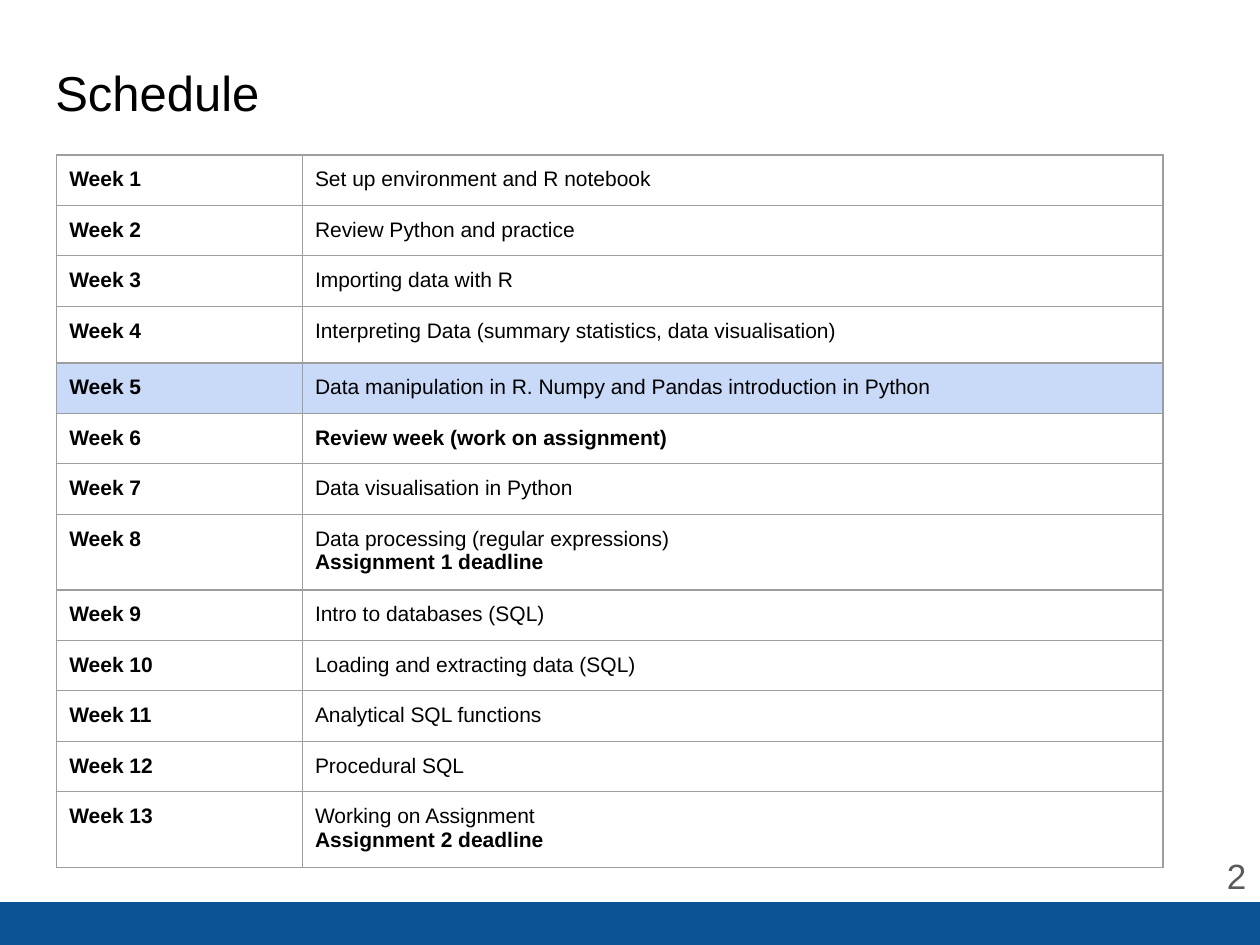
"""Build a course schedule slide with a table of thirteen weeks."""
from lxml import etree
from pptx import Presentation
from pptx.dml.color import RGBColor
from pptx.enum.shapes import MSO_SHAPE
from pptx.enum.text import MSO_ANCHOR, PP_ALIGN
from pptx.oxml.ns import qn
from pptx.util import Pt

PX = 9144
RECTANGLE = MSO_SHAPE.RECTANGLE
TOP, MIDDLE = MSO_ANCHOR.TOP, MSO_ANCHOR.MIDDLE
LEFT, RIGHT = PP_ALIGN.LEFT, PP_ALIGN.RIGHT
BLACK = RGBColor(0x00, 0x00, 0x00)
WHITE = RGBColor(0xFF, 0xFF, 0xFF)
GREY = RGBColor(0x59, 0x59, 0x59)
BORDER = RGBColor(0x9E, 0x9E, 0x9E)
FOOTER_BLUE = RGBColor(0x0B, 0x53, 0x94)
HIGHLIGHT = RGBColor(0xC9, 0xDA, 0xF8)
INSET = 10 * PX

CURRENT_WEEK = 5
ROW_HEIGHTS = {4: 45, 8: 57, 13: 57}
TOPICS = [
    [("Set up environment and R notebook", False)],
    [("Review Python and practice", False)],
    [("Importing data with R", False)],
    [("Interpreting Data (summary statistics, data visualisation)", False)],
    [("Data manipulation in R. Numpy and Pandas introduction in Python", False)],
    [("Review week (work on assignment)", True)],
    [("Data visualisation in Python", False)],
    [("Data processing (regular expressions)", False), ("Assignment 1 deadline", True)],
    [("Intro to databases (SQL)", False)],
    [("Loading and extracting data (SQL)", False)],
    [("Analytical SQL functions", False)],
    [("Procedural SQL", False)],
    [("Working on Assignment", False), ("Assignment 2 deadline", True)],
]


def write_lines(frame, lines, size, color, alignment=LEFT):
    frame.word_wrap = True
    for index, (text, bold) in enumerate(lines):
        paragraph = frame.add_paragraph() if index else frame.paragraphs[0]
        paragraph.text = text
        paragraph.alignment = alignment
        paragraph.font.name = "Arial"
        paragraph.font.size = Pt(size)
        paragraph.font.bold = bold
        paragraph.font.color.rgb = color


def add_borders(cell):
    properties = cell._tc.get_or_add_tcPr()
    for position, side in enumerate(("lnL", "lnR", "lnT", "lnB")):
        line = etree.Element(qn(f"a:{side}"), w=str(Pt(0.75)))
        fill = etree.SubElement(line, qn("a:solidFill"))
        etree.SubElement(fill, qn("a:srgbClr"), val=str(BORDER))
        properties.insert(position, line)


presentation = Presentation()
presentation.slide_width = 1000 * PX
presentation.slide_height = 750 * PX
slide = presentation.slides.add_slide(presentation.slide_layouts[6])

footer = slide.shapes.add_shape(RECTANGLE, 0, 716 * PX, 1000 * PX, 34 * PX)
footer.shadow.inherit = False
footer.fill.solid()
footer.fill.fore_color.rgb = FOOTER_BLUE
footer.line.fill.background()

for text, left, top, width, height, size, color, alignment, anchor in [
    ("Schedule", 34, 40, 932, 83, 28, BLACK, LEFT, TOP),
    ("2", 935, 666, 64, 57, 20, GREY, RIGHT, MIDDLE),
]:
    text_box = slide.shapes.add_textbox(left * PX, top * PX, width * PX, height * PX)
    frame = text_box.text_frame
    frame.margin_left = frame.margin_right = INSET
    frame.margin_top = frame.margin_bottom = INSET
    frame.vertical_anchor = anchor
    write_lines(frame, [(text, False)], size, color, alignment)

heights = [ROW_HEIGHTS.get(week, 40) for week in range(1, len(TOPICS) + 1)]
table = slide.shapes.add_table(
    len(TOPICS), 2, 45 * PX, 123 * PX, 878 * PX, sum(heights) * PX
).table
table.first_row = False
table.horz_banding = False
table.columns[0].width = 195 * PX
table.columns[1].width = 683 * PX

for week, (topic, height) in enumerate(zip(TOPICS, heights), start=1):
    row = table.rows[week - 1]
    row.height = height * PX
    for cell, lines in zip(row.cells, ([(f"Week {week}", True)], topic)):
        cell.margin_left = cell.margin_right = INSET
        cell.margin_top = cell.margin_bottom = INSET
        cell.fill.solid()
        cell.fill.fore_color.rgb = HIGHLIGHT if week == CURRENT_WEEK else WHITE
        add_borders(cell)
        write_lines(cell.text_frame, lines, 12, BLACK)

presentation.save("out.pptx")
